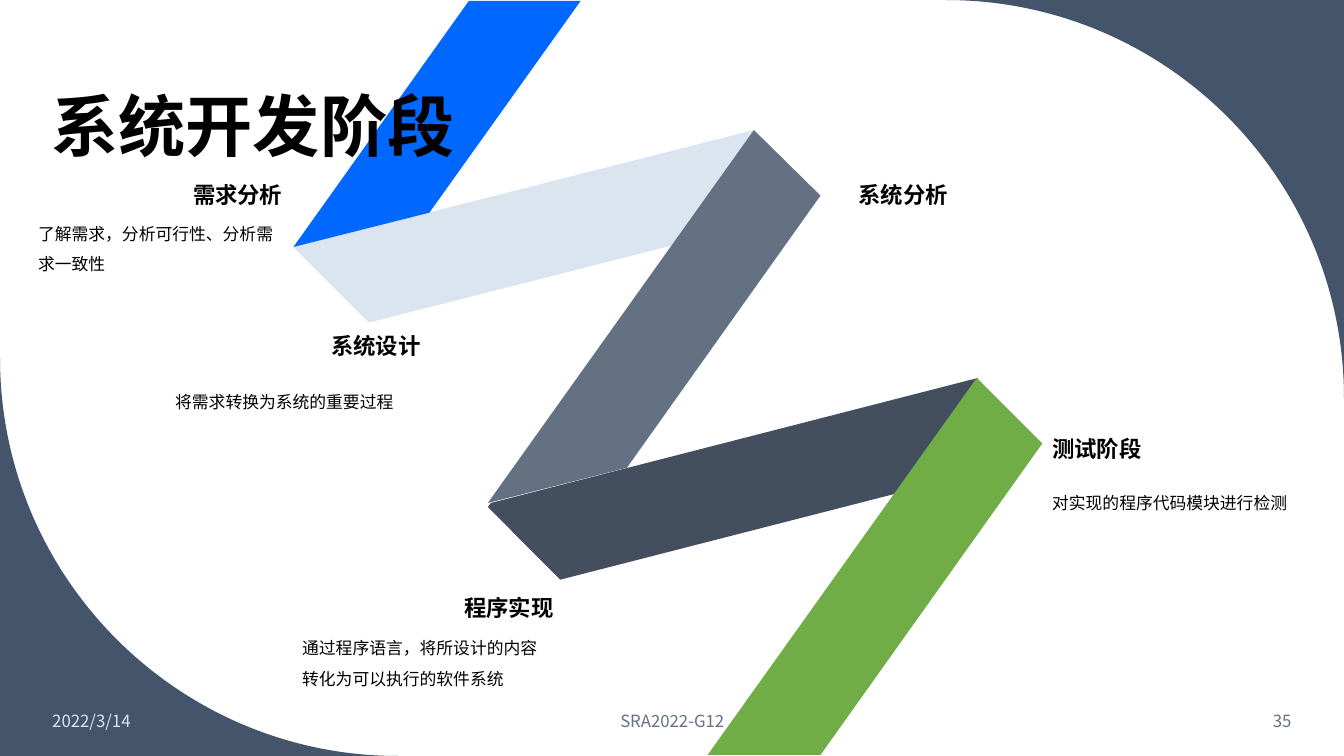
from pptx import Presentation
from pptx.dml.color import RGBColor
from pptx.enum.text import MSO_ANCHOR, PP_ALIGN
from pptx.oxml.ns import qn
from pptx.util import Inches, Pt
from lxml import etree

W, H = Inches(13.333), Inches(7.5)
LEFT, CENTER, RIGHT = PP_ALIGN.LEFT, PP_ALIGN.CENTER, PP_ALIGN.RIGHT
MIDDLE, BOTTOM = MSO_ANCHOR.MIDDLE, MSO_ANCHOR.BOTTOM
SANS, BODY = "Noto Sans CJK SC", "Arial"

BLACK = RGBColor(0, 0, 0)
NAVY = RGBColor(0x44, 0x54, 0x6A)
PALE = RGBColor(0xDA, 0xE5, 0xEF)
SLATE = RGBColor(0x63, 0x71, 0x83)
BLUE = RGBColor(0x00, 0x68, 0xFF)
DARK = RGBColor(0x43, 0x4E, 0x5E)
GREEN = RGBColor(0x70, 0xAD, 0x47)

# Points and boxes are percentages of the slide's width and height
BACK_RIBBONS = [
    (PALE, [(56.1, 17.2), (21.83, 32.67), (27.45, 42.67), (57.83, 28.93)]),
    (SLATE, [(61.05, 25.87), (56.1, 17.2), (36.3, 66.53), (46.65, 61.87)]),
    (BLUE, [(21.83, 32.67), (31.95, 28.13), (43.2, 0.13), (34.88, 0.13)]),
]
FRONT_RIBBONS = [
    (DARK, [(72.75, 50), (36.53, 66.53), (36.3, 67.07), (41.7, 76.67),
            (74.48, 61.73)]),
    (GREEN, [(72.68, 50), (52.65, 99.87), (61.05, 99.87), (77.55, 58.67)]),
]
FOOTERS = [
    ("2022/3/14", 3.15, 13.95, LEFT, PALE),
    ("SRA2022-G12", 33.15, 33.75, CENTER, SLATE),
    ("35", 83.25, 13.58, RIGHT, SLATE),
]
# Heading, its left, top, width, alignment; description, its left, top, width
STAGES = [
    ("需求分析", 4.65, 23.2, 17.1, RIGHT,
     "了解需求，分析可行性、分析需求一致性", 2.1, 28, 19.73),
    ("系统分析", 63.15, 23.2, 20.18, LEFT),
    ("系统设计", 12.3, 43.2, 19.73, RIGHT,
     "将需求转换为系统的重要过程", 12.3, 48.27, 19.73),
    ("测试阶段", 77.55, 56.8, 20.18, LEFT,
     "对实现的程序代码模块进行检测", 77.55, 61.6, 20.18),
    ("程序实现", 21.75, 77.87, 20.18, RIGHT,
     "通过程序语言，将所设计的内容转化为可以执行的软件系统", 21.75, 82.8, 20.18),
]
HEAD_H, BODY_H = 5.07, 8.53


def px(share):
    return round(W * share / 100)


def py(share):
    return round(H * share / 100)


def add_outline(s, points, color):
    """Draw a filled closed outline through points in EMU."""
    builder = s.shapes.build_freeform(*points[0])
    builder.add_line_segments(points[1:], close=True)
    sp = builder.convert_to_shape()
    sp.shadow.inherit = False
    sp.fill.solid()
    sp.fill.fore_color.rgb = color
    sp.line.fill.background()
    return sp


def add_ribbon(s, color, points):
    add_outline(s, [(px(x), py(y)) for x, y in points], color)


def add_corner(s, x, y, sign):
    """Fill a slide corner outside a quarter circle; sign points outward."""
    radius, handle = Inches(3.95), Inches(1.77)
    steps = [(0, 0), (radius, 0), (handle, 0), (0, handle), (0, radius)]
    sp = add_outline(s, [(x - sign * dx, y + sign * dy) for dx, dy in steps],
                     NAVY)
    # The last three points become the handles and end of one curve
    lines = list(sp._element.iter(qn("a:lnTo")))
    curve = etree.Element(qn("a:cubicBezTo"))
    lines[0].addnext(curve)
    for line in lines[1:4]:
        curve.append(line[0])
        line.getparent().remove(line)


def add_text(parent, text, x, y, w, h, size=12, font=BODY, color=BLACK,
             bold=False, align=LEFT, anchor=MIDDLE, spacing=None, wrap=True):
    tf = parent.shapes.add_textbox(px(x), py(y), px(w), py(h)).text_frame
    tf.word_wrap = wrap
    tf.vertical_anchor = anchor
    p = tf.paragraphs[0]
    p.alignment = align
    if spacing:
        p.line_spacing = spacing
    r = p.add_run()
    r.text = text
    r.font.size, r.font.bold, r.font.name = Pt(size), bold, font
    r.font.color.rgb = color
    # East Asian glyphs take their typeface from a:ea
    etree.SubElement(r._r.get_or_add_rPr(), qn("a:ea")).set("typeface", font)


def add_stage(s, heading, x, y, w, align, *description):
    parent = s.shapes.add_group_shape() if description else s
    add_text(parent, heading, x, y, w, HEAD_H, size=16, bold=True,
             align=align, wrap=False)
    if description:
        add_text(parent, *description, BODY_H, spacing=1.5)


def main():
    prs = Presentation()
    prs.slide_width, prs.slide_height = W, H
    s = prs.slides.add_slide(prs.slide_layouts[6])

    # Background corners: top right and bottom left
    add_corner(s, W, 0, 1)
    add_corner(s, 0, H, -1)

    # Folded ribbon behind the title
    for color, points in BACK_RIBBONS:
        add_ribbon(s, color, points)

    # Title and footer
    add_text(s, "系统开发阶段", 3.08, 3.33, 80.18, 19.33, size=48, font=SANS,
             bold=True, anchor=BOTTOM, spacing=0.9)
    for text, x, w, align, color in FOOTERS:
        add_text(s, text, x, 92.67, w, 5.33, font=SANS, color=color,
                 align=align)

    # Rest of the ribbon and the stage labels
    for color, points in FRONT_RIBBONS:
        add_ribbon(s, color, points)
    for stage in STAGES:
        add_stage(s, *stage)

    prs.save("out.pptx")


main()
